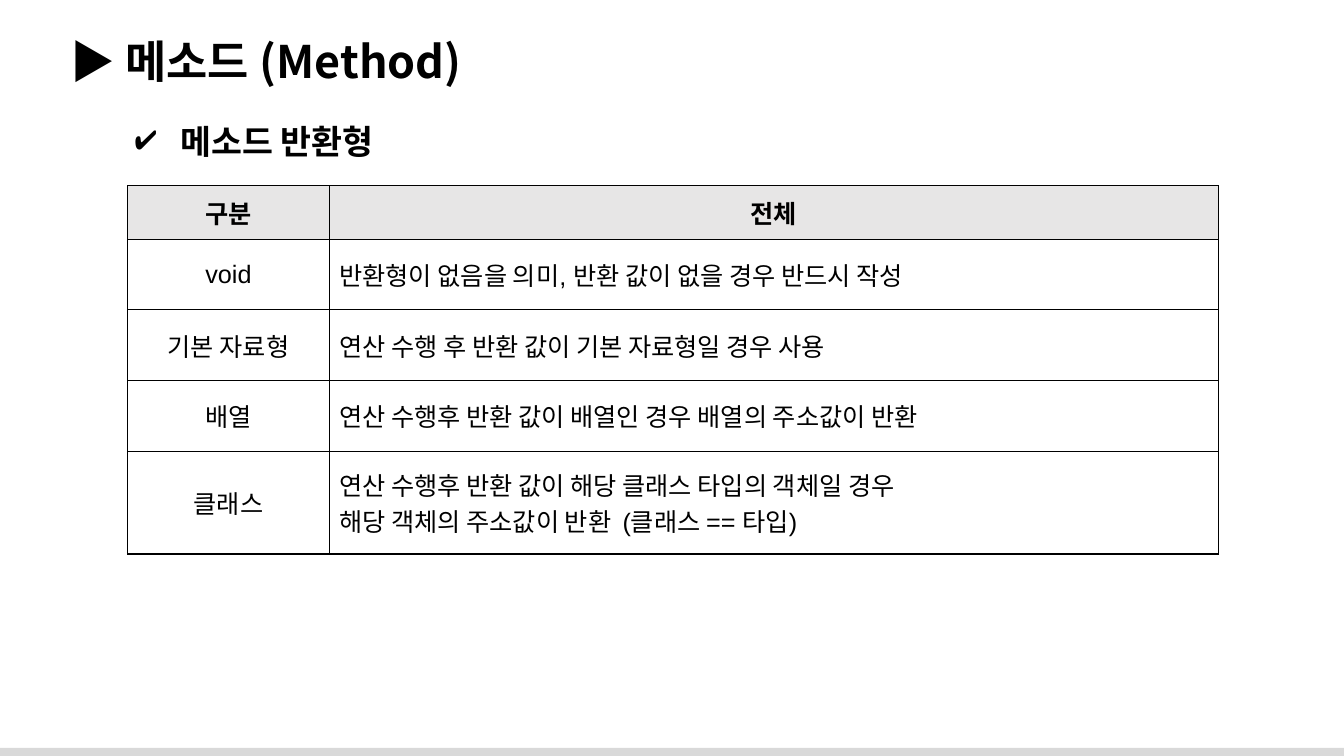
from dataclasses import dataclass

from lxml.etree import SubElement
from pptx import Presentation
from pptx.dml.color import RGBColor
from pptx.enum.shapes import MSO_SHAPE
from pptx.enum.text import MSO_ANCHOR, MSO_AUTO_SIZE, PP_ALIGN
from pptx.oxml.ns import qn
from pptx.slide import Slide
from pptx.table import _Cell
from pptx.text.text import TextFrame, _Paragraph
from pptx.util import Pt

COLORS = {"text": "000000", "border": "000000", "header": "E7E6E6", "footer": "D9D9D9"}
HEADING_FONT = "Noto Sans CJK KR"
TABLE_FONT = "Arial"
PAGE_WIDTH, PAGE_HEIGHT = 960, 540
FOOTER_HEIGHT = 5.76
TABLE_LEFT, TABLE_TOP = 91.2, 132.6
COLUMN_WIDTHS = [144, 635]


@dataclass(frozen=True)
class ReturnType:
    name: str
    lines: tuple[str, ...]
    height: float


HEADER = ReturnType("구분", ("전체",), 38.2)
RETURN_TYPES = [
    ReturnType("void", ("반환형이 없음을 의미, 반환 값이 없을 경우 반드시 작성",), 50.5),
    ReturnType("기본 자료형", ("연산 수행 후 반환 값이 기본 자료형일 경우 사용",), 50.5),
    ReturnType("배열", ("연산 수행후 반환 값이 배열인 경우 배열의 주소값이 반환",), 50.5),
    ReturnType(
        "클래스",
        (
            "연산 수행후 반환 값이 해당 클래스 타입의 객체일 경우",
            "해당 객체의 주소값이 반환  (클래스 == 타입)",
        ),
        73.5,
    ),
]


def write_text(
    frame: TextFrame,
    *lines: str,
    size: float,
    font: str,
    bold: bool = False,
    align: PP_ALIGN = PP_ALIGN.LEFT,
) -> None:
    for index, line in enumerate(lines):
        para = frame.paragraphs[0] if index == 0 else frame.add_paragraph()
        para.alignment = align
        span = para.add_run()
        span.text = line
        span.font.size = Pt(size)
        span.font.name = font
        span.font.bold = bold
        span.font.color.rgb = RGBColor.from_string(COLORS["text"])
        if font == HEADING_FONT:
            SubElement(span.font._element, qn("a:ea"), typeface=font)


def set_frame(frame: TextFrame) -> None:
    frame.word_wrap = True
    frame.auto_size = MSO_AUTO_SIZE.NONE
    frame.vertical_anchor = MSO_ANCHOR.MIDDLE


def add_check_bullet(para: _Paragraph, indent: float) -> None:
    properties = para._p.get_or_add_pPr()
    properties.set("marL", str(Pt(indent)))
    properties.set("indent", str(-Pt(indent)))
    bullet_color = SubElement(properties, qn("a:buClr"))
    SubElement(bullet_color, qn("a:srgbClr"), val=COLORS["text"])
    SubElement(properties, qn("a:buChar"), char="✔")


def add_borders(cell: _Cell) -> None:
    """Outline the cell; call before filling, as lines come first in the XML."""
    properties = cell._tc.get_or_add_tcPr()
    for side in ("lnL", "lnR", "lnT", "lnB"):
        line = SubElement(properties, qn(f"a:{side}"), w=str(Pt(1)))
        fill = SubElement(line, qn("a:solidFill"))
        SubElement(fill, qn("a:srgbClr"), val=COLORS["border"])


def add_footer_bar(page: Slide) -> None:
    bar = page.shapes.add_shape(
        MSO_SHAPE.RECTANGLE,
        Pt(0), Pt(PAGE_HEIGHT - FOOTER_HEIGHT), Pt(PAGE_WIDTH), Pt(FOOTER_HEIGHT),
    )
    bar.shadow.inherit = False
    bar.fill.solid()
    bar.fill.fore_color.rgb = RGBColor.from_string(COLORS["footer"])
    bar.line.fill.background()


def add_headings(page: Slide) -> None:
    title = page.shapes.title
    title.left, title.top, title.width, title.height = Pt(43.2), Pt(20.2), Pt(907), Pt(46)
    set_frame(title.text_frame)
    write_text(title.text_frame, "▶ 메소드 (Method)", size=32, font=HEADING_FONT, bold=True)

    box = page.shapes.add_textbox(Pt(89.3), Pt(82.8), Pt(204.5), Pt(36))
    set_frame(box.text_frame)
    write_text(box.text_frame, " 메소드 반환형", size=24, font=HEADING_FONT, bold=True)
    add_check_bullet(box.text_frame.paragraphs[0], indent=27)


def add_return_table(page: Slide) -> None:
    rows = [HEADER, *RETURN_TYPES]
    table = page.shapes.add_table(
        len(rows), len(COLUMN_WIDTHS), Pt(TABLE_LEFT), Pt(TABLE_TOP),
        Pt(sum(COLUMN_WIDTHS)), Pt(sum(row.height for row in rows)),
    ).table
    table.first_row = table.horz_banding = False
    for column, width in zip(table.columns, COLUMN_WIDTHS):
        column.width = Pt(width)
    for row_index, row in enumerate(rows):
        table.rows[row_index].height = Pt(row.height)
        is_header = row is HEADER
        for column_index, lines in enumerate(((row.name,), row.lines)):
            cell = table.cell(row_index, column_index)
            cell.vertical_anchor = MSO_ANCHOR.MIDDLE
            add_borders(cell)
            if is_header:
                cell.fill.solid()
                cell.fill.fore_color.rgb = RGBColor.from_string(COLORS["header"])
            else:
                cell.fill.background()
            centred = is_header or column_index == 0
            write_text(
                cell.text_frame, *lines, size=18, font=TABLE_FONT, bold=is_header,
                align=PP_ALIGN.CENTER if centred else PP_ALIGN.LEFT,
            )


def main() -> None:
    deck = Presentation()
    deck.slide_width, deck.slide_height = Pt(PAGE_WIDTH), Pt(PAGE_HEIGHT)
    page = deck.slides.add_slide(deck.slide_layouts.get_by_name("Title Only"))
    add_footer_bar(page)
    add_headings(page)
    add_return_table(page)
    deck.save("out.pptx")


if __name__ == "__main__":
    main()
